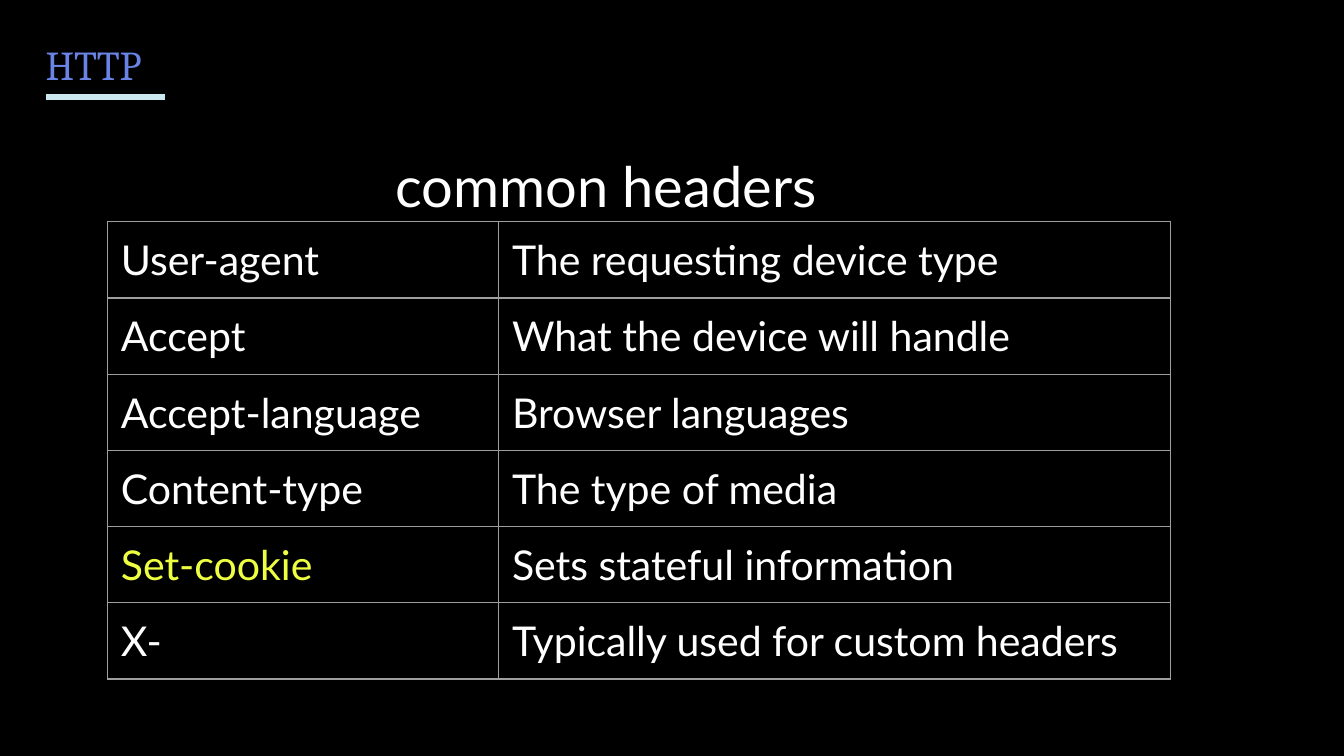
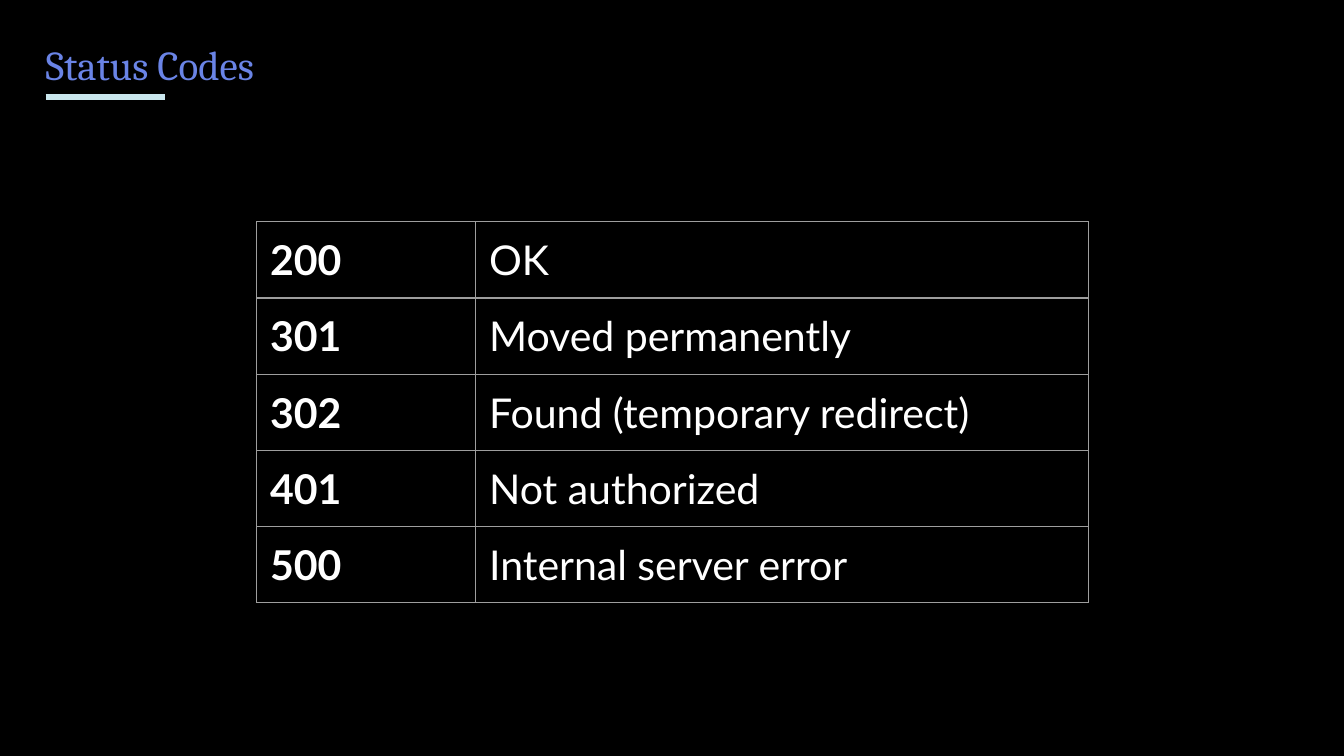
from dataclasses import dataclass

from lxml.etree import SubElement
from pptx import Presentation
from pptx.dml.color import RGBColor
from pptx.enum.shapes import MSO_CONNECTOR
from pptx.enum.text import PP_ALIGN
from pptx.oxml import parse_xml
from pptx.oxml.ns import nsdecls, qn
from pptx.util import Inches, Pt


@dataclass(frozen=True)
class Theme:
    background: str = "000000"
    title: str = "6A84E6"
    rule: str = "CAE7ED"
    text: str = "FFFFFF"
    highlight: str = "EEFF41"
    border: str = "9E9E9E"
    title_font: str = "Cambria"
    body_font: str = "Lato"
    body_size: int = 22
    heading_size: int = 30
    rule_width: int = 3
    border_width: float = 0.75


theme = Theme()


def add_run(paragraph, text, size, font, color, bold=False):
    run = paragraph.add_run()
    run.text = text
    run.font.size = Pt(size)
    run.font.name = font
    run.font.bold = bold
    run.font.color.rgb = RGBColor.from_string(color)


def add_text_box(slide, left, top, width, height):
    frame = slide.shapes.add_textbox(
        Inches(left), Inches(top), Inches(width), Inches(height)).text_frame
    frame.word_wrap = True
    frame.margin_left = frame.margin_right = Inches(0.1)
    frame.margin_top = frame.margin_bottom = Inches(0.1)
    return frame.paragraphs[0]


pages = [
    {
        "title": "HTTP",
        "heading": "common headers",
        "left": 0.8,
        "columns": [2.91, 5],
        "bold_keys": False,
        "rows": [
            ("User-agent", "The requesting device type"),
            ("Accept", "What the device will handle"),
            ("Accept-language", "Browser languages"),
            ("Content-type", "The type of media"),
            ("Set-cookie", "Sets stateful information"),
            ("X-", "Typically used for custom headers"),
        ],
    },
    {
        "title": "Status Codes",
        "heading": None,
        "left": 1.91,
        "columns": [1.63, 4.56],
        "bold_keys": True,
        "rows": [
            ("200", "OK"),
            ("301", "Moved permanently"),
            ("302", "Found (temporary redirect)"),
            ("401", "Not authorized"),
            ("500", "Internal server error"),
        ],
    },
]
highlighted = {"Set-cookie"}
row_height = 0.42

presentation = Presentation()
presentation.slide_width = Inches(10)
presentation.slide_height = Inches(10 * 9 / 16)

for page in pages:
    slide = presentation.slides.add_slide(presentation.slide_layouts[6])
    slide.background.fill.solid()
    slide.background.fill.fore_color.rgb = RGBColor.from_string(theme.background)

    rule = slide.shapes.add_connector(
        MSO_CONNECTOR.STRAIGHT, Inches(0.34), Inches(0.72), Inches(1.23), Inches(0.72))
    rule.line.color.rgb = RGBColor.from_string(theme.rule)
    rule.line.width = Pt(theme.rule_width)
    SubElement(rule._element.spPr, qn("a:effectLst"))

    title = add_text_box(slide, 0.24, 0.14, 2.28, 0.52)
    title.line_spacing = 1.15
    title.space_after = Pt(16)
    add_run(title, page["title"], theme.body_size, theme.title_font, theme.title)

    if page["heading"]:
        heading = add_text_box(slide, 2.52, 1.03, 3.98, 0.62)
        heading.alignment = PP_ALIGN.CENTER
        add_run(heading, page["heading"], theme.heading_size, theme.body_font, theme.text)

    table = slide.shapes.add_table(
        len(page["rows"]), len(page["columns"]), Inches(page["left"]), Inches(1.65),
        Inches(sum(page["columns"])), Inches(row_height * len(page["rows"]))).table
    table.first_row = False
    table.horz_banding = False
    for column, width in zip(table.columns, page["columns"]):
        column.width = Inches(width)

    for row, texts in zip(table.rows, page["rows"]):
        row.height = Inches(row_height)
        for index, (cell, text) in enumerate(zip(row.cells, texts)):
            cell.margin_left = cell.margin_right = Inches(0.1)
            cell.margin_top = cell.margin_bottom = Inches(0.1)
            cell.fill.background()
            color = theme.highlight if text in highlighted else theme.text
            add_run(cell.text_frame.paragraphs[0], text, theme.body_size,
                    theme.body_font, color, page["bold_keys"] and index == 0)
            properties = cell._tc.get_or_add_tcPr()
            for position, side in enumerate(("lnL", "lnR", "lnT", "lnB")):
                properties.insert(position, parse_xml(
                    f'<a:{side} {nsdecls("a")} w="{Pt(theme.border_width)}">'
                    f'<a:solidFill><a:srgbClr val="{theme.border}"/></a:solidFill>'
                    f'</a:{side}>'))

presentation.save("out.pptx")
